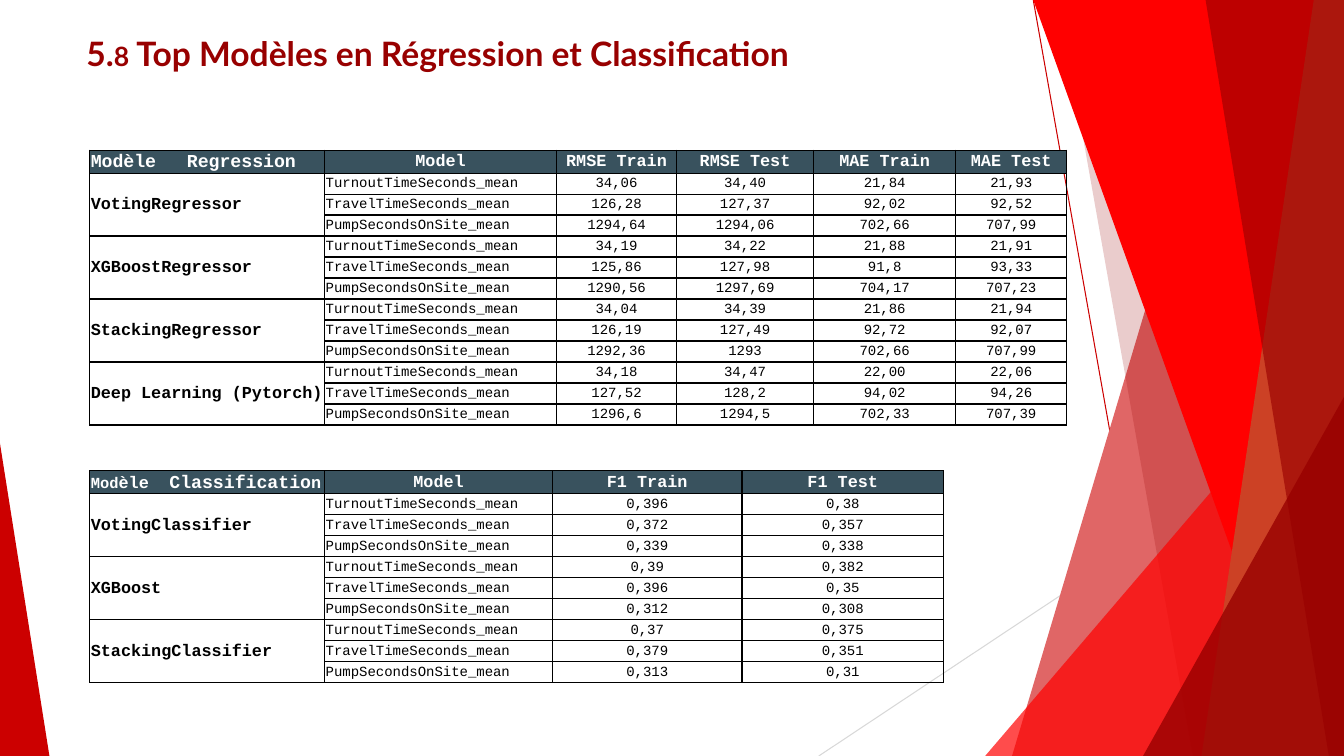
from dataclasses import dataclass
from lxml.etree import SubElement as Sub
from pptx import Presentation
from pptx.dml.color import RGBColor as Rgb
from pptx.enum.shapes import MSO_CONNECTOR as Conn, MSO_SHAPE as Kind
from pptx.enum.text import MSO_ANCHOR as Anchor, PP_ALIGN as Align
from pptx.oxml.ns import qn
from pptx.util import Inches, Pt


@dataclass(frozen=True)
class Theme:
    red: str = "FF0000"
    wine: str = "980000"
    rose: str = "E06666"
    rust: str = "CC4125"
    ruby: str = "CC0000"
    grey: str = "D8D8D8"
    slate: str = "39525E"
    white: str = "FFFFFF"
    black: str = "000000"
    sans: str = "Lato"
    mono: str = "Courier New"
    title: int = 24
    minor: int = 19
    large: int = 13
    label: int = 12
    small: int = 11
    body: int = 10
    rule: float = 0.75


@dataclass(frozen=True)
class Line:
    x1: float
    y1: float
    x2: float
    y2: float
    color: str


@dataclass(frozen=True)
class Band:
    """Area from a slanted left edge to the right side of the slide."""
    top: float
    foot: float
    color: str
    alpha: int = 100


@dataclass(frozen=True)
class Wedge:
    """Triangle on the slide's bottom edge; tip is 0 (left) or 1 (right)."""
    left: float
    top: float
    width: float
    tip: int
    color: str
    alpha: int = 100


@dataclass(frozen=True)
class Grid:
    top: float
    tab: float
    cols: tuple[float, ...]
    corner: tuple[tuple[str, int], ...]
    heads: tuple[str, ...]
    groups: dict[str, tuple[str, ...]]


T = Theme()
WIDE, HIGH = Inches(13.33), Inches(7.5)
LEFT, HEAD, ROW = 6.68, 2.85, 2.78
GOALS = ("TurnoutTimeSeconds_mean", "TravelTimeSeconds_mean", "PumpSecondsOnSite_mean")

# Places and lengths are percentages of the slide's width or height.
DECOR = (
    Line(76.88, 0, 86.87, 100, T.ruby),
    Line(100, 53.85, 60.92, 100, T.grey),
    Band(92.1, 75.3, T.rose),
    Band(78.77, 88.75, T.wine, 20),
    Wedge(73.3, 44.5, 26.7, 1, T.red, 70),
    Band(76.88, 97.15, T.red),
    Band(97.75, 89.4, T.rust),
    Band(89.7, 98.87, T.wine, 63),
    Wedge(85.05, 52.5, 14.95, 1, T.wine, 80),
    Wedge(0, 58.65, 3.68, 0, T.ruby),
)
GRIDS = (
    Grid(19.87, 7.15, (17.48, 17.25, 8.93, 10.2, 10.58, 8.25),
         (("Modèle\tRegression", T.large),),
         ("Model", "RMSE Train", "RMSE Test", "MAE Train", "MAE Test"),
         {"VotingRegressor": ("34,06 34,40 21,84 21,93", "126,28 127,37 92,02 92,52",
                              "1294,64 1294,06 702,66 707,99"),
          "XGBoostRegressor": ("34,19 34,22 21,88 21,91", "125,86 127,98 91,8 93,33",
                               "1290,56 1297,69 704,17 707,23"),
          "StackingRegressor": ("34,04 34,39 21,86 21,94", "126,19 127,49 92,72 92,07",
                                "1292,36 1293 702,66 707,99"),
          "Deep Learning (Pytorch)": ("34,18 34,47 22,00 22,06", "127,52 128,2 94,02 94,26",
                                      "1296,6 1294,5 702,33 707,39")}),
    Grid(62.27, 5.85, (17.48, 16.95, 14.1, 15),
         (("Mod", T.small), ("èle\t", T.label), ("Classificatio", T.large), ("n", T.label)),
         ("Model", "F1 Train", "F1 Test"),
         {"VotingClassifier": ("0,396 0,38", "0,372 0,357", "0,339 0,338"),
          "XGBoost": ("0,39 0,382", "0,396 0,35", "0,312 0,308"),
          "StackingClassifier": ("0,37 0,375", "0,379 0,351", "0,313 0,31")}),
)


def across(share: float) -> int:
    return round(WIDE * share / 100)


def down(share: float) -> int:
    return round(HIGH * share / 100)


def write(par, text: str, *, size: int, font: str = T.mono,
          color: str = T.black, bold: bool = False) -> None:
    run = par.add_run()
    run.text = text
    face = run.font
    face.name, face.size, face.bold = font, Pt(size), bold
    face.color.rgb = Rgb.from_string(color)


def paint(shape, color: str, alpha: int) -> None:
    shape.shadow.inherit = False
    shape.line.fill.background()
    shape.fill.solid()
    shape.fill.fore_color.rgb = Rgb.from_string(color)
    if alpha < 100:
        tint = shape.fill._xPr.find(f".//{qn('a:srgbClr')}")
        Sub(tint, qn("a:alpha"), val=str(alpha * 1000))


def adorn(shapes, item: Line | Band | Wedge) -> None:
    if isinstance(item, Line):
        link = shapes.add_connector(Conn.STRAIGHT, across(item.x1), down(item.y1),
                                    across(item.x2), down(item.y2))
        link.line.color.rgb = Rgb.from_string(item.color)
        link.line.width = Pt(T.rule)
        Sub(link._element.spPr, qn("a:effectLst"))
        return
    if isinstance(item, Band):
        pen = shapes.build_freeform(across(item.top), 0)
        pen.add_line_segments(((WIDE, 0), (WIDE, HIGH), (across(item.foot), HIGH)), close=True)
        shape = pen.convert_to_shape()
    else:
        shape = shapes.add_shape(Kind.ISOSCELES_TRIANGLE, across(item.left), down(item.top),
                                 across(item.width), down(100 - item.top))
        shape.adjustments[0] = item.tip
    paint(shape, item.color, item.alpha)


def frame(cell, fill: str | None) -> None:
    """Set a cell's margins, borders and fill."""
    cell.margin_left = cell.margin_right = cell.margin_top = Inches(0.01)
    cell.margin_bottom = 0
    cell.vertical_anchor = Anchor.MIDDLE
    for side in "LRTB":
        edge = Sub(cell._tc.get_or_add_tcPr(), qn(f"a:ln{side}"), w=str(Pt(1)))
        Sub(Sub(edge, qn("a:solidFill")), qn("a:srgbClr"), val=T.black)
    if fill:
        cell.fill.solid()
        cell.fill.fore_color.rgb = Rgb.from_string(fill)
    else:
        cell.fill.background()


def draw(shapes, grid: Grid) -> None:
    rows = [(name if k == 0 else "", goal, *vals.split())
            for name, lines in grid.groups.items()
            for k, (goal, vals) in enumerate(zip(GOALS, lines))]
    table = shapes.add_table(len(rows) + 1, len(grid.cols), across(LEFT), down(grid.top),
                             across(sum(grid.cols)), down(HEAD + ROW * len(rows))).table
    table.first_row = table.horz_banding = False
    for col, width in zip(table.columns, grid.cols):
        col.width = across(width)
    for r, texts in enumerate([("", *grid.heads), *rows]):
        table.rows[r].height = down(ROW if r else HEAD)
        for c, text in enumerate(texts):
            cell = table.cell(r, c)
            frame(cell, None if r else T.slate)
            par = cell.text_frame.paragraphs[0]
            if c > 1 or (r == 0 and c):
                par.alignment = Align.CENTER
            if text:
                strong = r == 0 or c == 0
                write(par, text, size=T.label if strong else T.body, bold=strong,
                      color=T.black if r else T.white)
    corner = table.cell(0, 0)
    corner.vertical_anchor = Anchor.BOTTOM
    par = corner.text_frame.paragraphs[0]
    stops = Sub(par._p.get_or_add_pPr(), qn("a:tabLst"))
    Sub(stops, qn("a:tab"), pos=str(across(grid.tab)), algn="l")
    for text, size in grid.corner:
        write(par, text, size=size, color=T.white, bold=True)
    step = len(GOALS)
    for r in range(1, len(rows), step):
        table.cell(r, 0).merge(table.cell(r + step - 1, 0))


def main() -> None:
    deck = Presentation()
    deck.slide_width, deck.slide_height = WIDE, HIGH
    shapes = deck.slides.add_slide(deck.slide_layouts[6]).shapes
    for item in DECOR:
        adorn(shapes, item)
    title = shapes.add_textbox(across(5.7), down(3.73), across(70.5), down(19.2)).text_frame
    title.word_wrap = True
    for text, size in (("5.", T.title), ("8", T.minor),
                       (" Top Modèles en Régression et Classification", T.title)):
        write(title.paragraphs[0], text, size=size, font=T.sans, color=T.wine, bold=True)
    for grid in GRIDS:
        draw(shapes, grid)
    deck.save("out.pptx")


if __name__ == "__main__":
    main()
